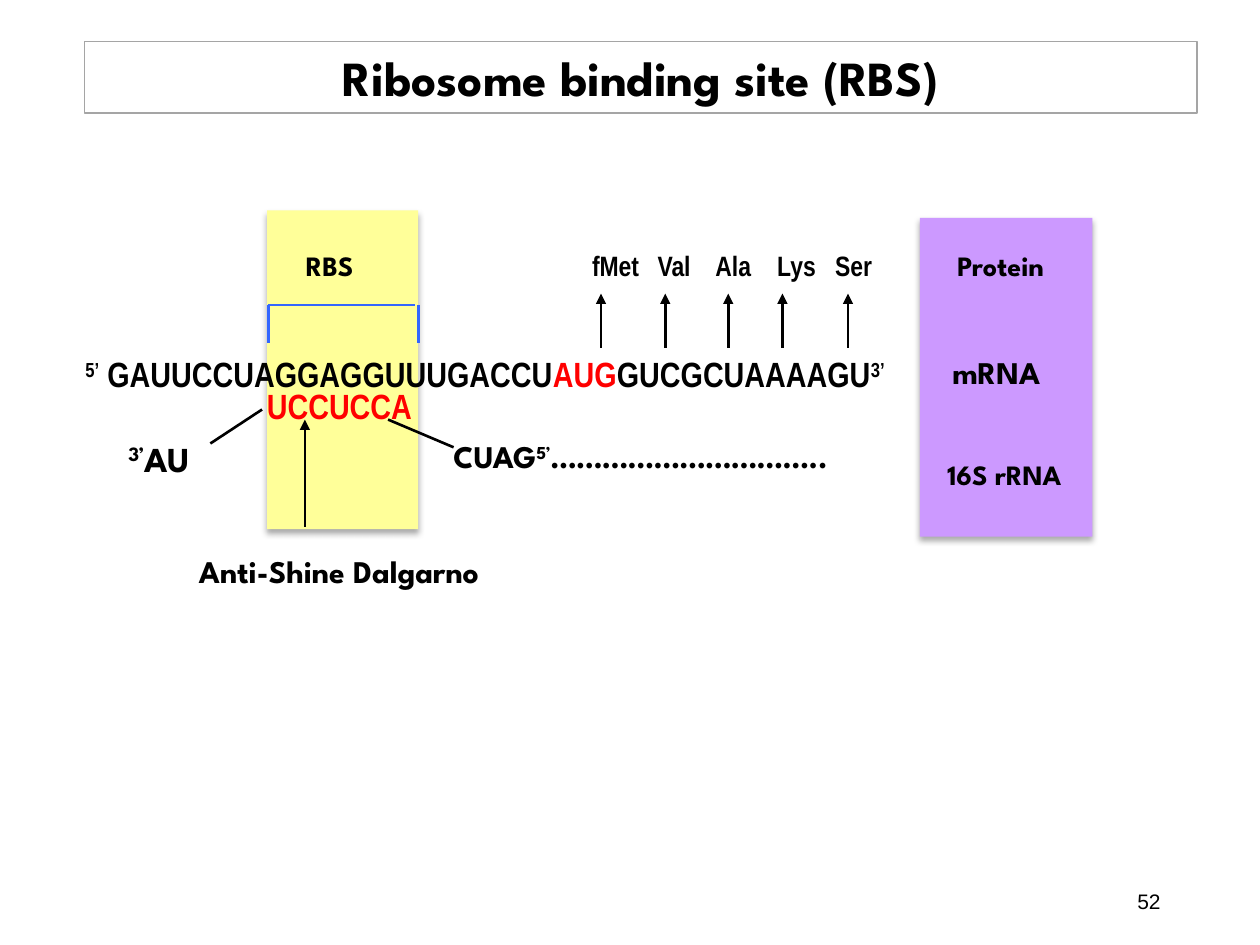
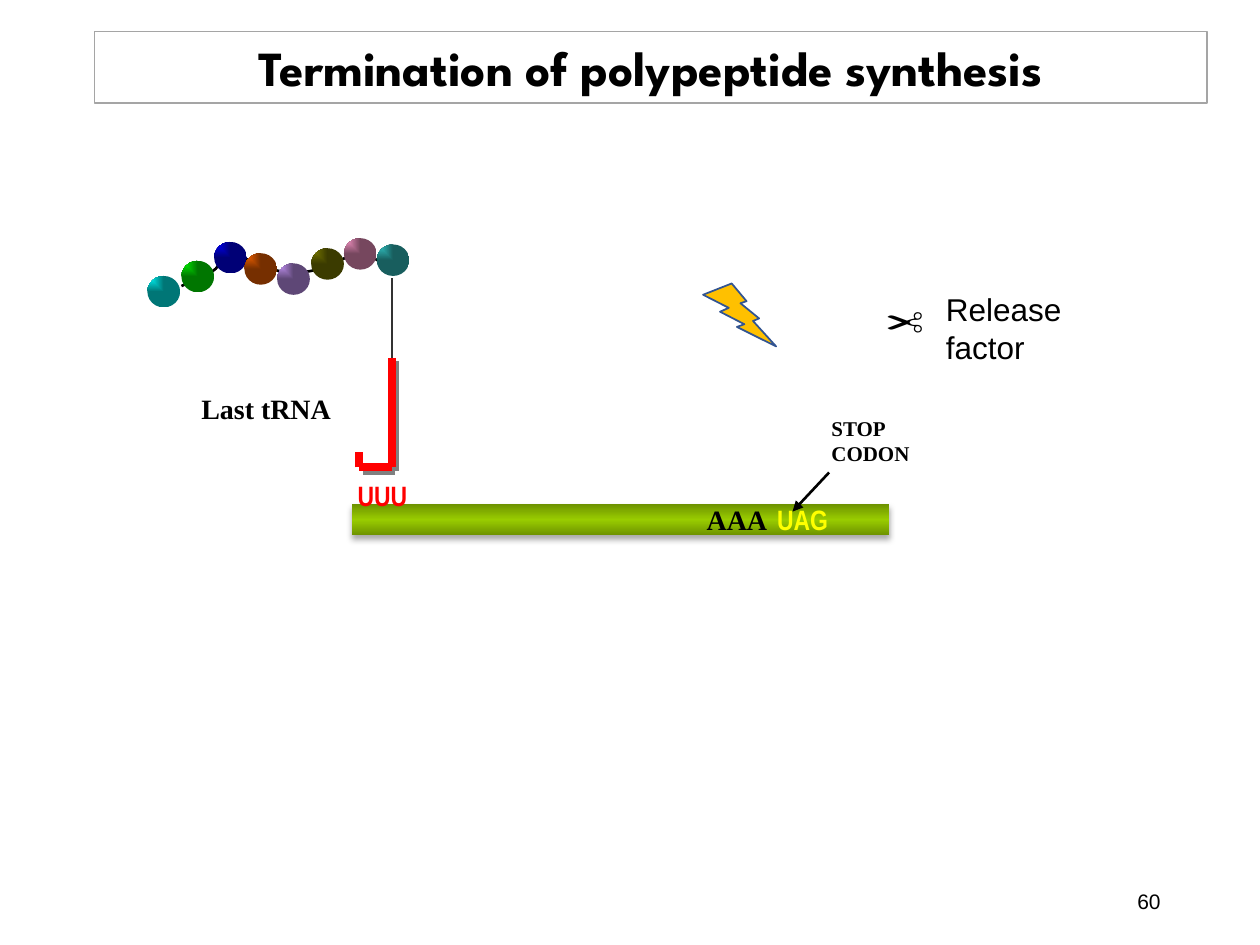
from dataclasses import dataclass
from typing import Any, Optional

import lxml.etree
import pptx
import pptx.dml.color
import pptx.enum.shapes
import pptx.enum.text
import pptx.oxml
import pptx.oxml.ns
import pptx.util

# Grid: lengths are columns and rows of a tenth of an inch
COLS, ROWS = 100, 75
WIDTH, HEIGHT = pptx.util.Inches(10), pptx.util.Inches(7.5)

SPARTAN, NARROW, TIMES, ARIAL = "League Spartan", "Arial Narrow", "Times New Roman", "Arial"
BLACK, WHITE, RED, GREY = "000000", "FFFFFF", "FF0000", "A5A5A5"
BLUE, YELLOW, LILAC, GOLD = "3366FF", "FFFF99", "CC99FF", "FFC000"

SHAPES = pptx.enum.shapes.MSO_SHAPE
ALIGN = pptx.enum.text.PP_ALIGN
ANCHOR = pptx.enum.text.MSO_ANCHOR
SIZING = pptx.enum.text.MSO_AUTO_SIZE


@dataclass
class Box:
    col: float
    row: float
    wide: float
    high: float


@dataclass
class Span:
    text: str
    colour: str = BLACK
    raised: bool = False


@dataclass
class Label:
    box: Box
    spans: list[Span]
    size: float = 16
    font: str = SPARTAN
    bold: bool = True


@dataclass
class Shadow:
    colour: str
    alpha: int
    blur: float
    dist: float
    angle: int


@dataclass
class Line:
    start: tuple[float, float]
    end: tuple[float, float]
    colour: str = BLACK
    weight: float = 1.5
    arrow: bool = False
    shadow: Optional[Shadow] = None


SOFT = Shadow(BLACK, 32, 3.5, 2.2, 90)
HARD = Shadow("808080", 100, 0, 2.8, 45)


# Basic helpers
def across(col: float) -> int:
    return round(WIDTH * col / COLS)


def down(row: float) -> int:
    return round(HEIGHT * row / ROWS)


def place(box: Box) -> tuple[int, int, int, int]:
    return across(box.col), down(box.row), across(box.wide), down(box.high)


def rgb(code: str) -> pptx.dml.color.RGBColor:
    return pptx.dml.color.RGBColor.from_string(code)


def child(parent: Any, tag: str, **attrs: Any) -> Any:
    values = {key: str(value) for key, value in attrs.items()}
    return lxml.etree.SubElement(parent, pptx.oxml.ns.qn(tag), values)


def shade(shape: Any, shadow: Optional[Shadow]) -> None:
    """Close the shape's properties with its shadow, or with none."""
    effects = child(shape._element.spPr, "a:effectLst")
    if shadow:
        outer = child(effects, "a:outerShdw", blurRad=pptx.util.Pt(shadow.blur),
                      dist=pptx.util.Pt(shadow.dist), dir=shadow.angle * 60000,
                      algn="ctr", rotWithShape=0)
        tint = child(outer, "a:srgbClr", val=shadow.colour)
        child(tint, "a:alpha", val=shadow.alpha * 1000)


def grade(shape: Any, stops: list[str], corner: bool) -> None:
    """Spread the colours evenly, from the top left corner or downwards."""
    fill = child(shape._element.spPr, "a:gradFill", rotWithShape=1)
    marks = child(fill, "a:gsLst")
    for i, code in enumerate(stops):
        mark = child(marks, "a:gs", pos=100000 * i // (len(stops) - 1))
        child(mark, "a:srgbClr", val=code)
    if corner:
        way = child(fill, "a:path", path="rect")
        child(way, "a:fillToRect", r=100000, b=100000)
    else:
        child(fill, "a:lin", ang=5400000, scaled=1)


# Drawing
def write(frame: Any, label: Label) -> None:
    para = frame.paragraphs[0]
    para.text = label.spans[0].text
    for span in label.spans[1:]:
        para.add_run().text = span.text
    for run, span in zip(para.runs, label.spans):
        font = run.font
        font.name, font.bold = label.font, label.bold
        font.size = pptx.util.Pt(label.size)
        font.color.rgb = rgb(span.colour)
        if span.raised:
            font._element.set("baseline", "30000")


def add_label(slide: Any, label: Label) -> Any:
    shape = slide.shapes.add_textbox(*place(label.box))
    shape.text_frame.word_wrap = True
    write(shape.text_frame, label)
    return shape


def add_shape(slide: Any, kind: Any, box: Box, fill: str | list[str],
              edge: str = "", shadow: Optional[Shadow] = None) -> Any:
    shape = slide.shapes.add_shape(kind, *place(box))
    if isinstance(fill, str):
        shape.fill.solid()
        shape.fill.fore_color.rgb = rgb(fill)
    else:
        grade(shape, fill, corner=kind == SHAPES.OVAL)
    if edge:
        shape.line.color.rgb = rgb(edge)
        shape.line.width = pptx.util.Pt(1)
    else:
        shape.line.fill.background()
    shade(shape, shadow)
    return shape


def add_line(slide: Any, line: Line) -> None:
    shape = slide.shapes.add_connector(
        pptx.enum.shapes.MSO_CONNECTOR.STRAIGHT,
        across(line.start[0]), down(line.start[1]), across(line.end[0]), down(line.end[1]))
    shape.line.color.rgb = rgb(line.colour)
    shape.line.width = pptx.util.Pt(line.weight)
    if line.arrow:
        child(shape.line._ln, "a:tailEnd", type="triangle")
    shade(shape, line.shadow)


def add_curve(slide: Any, start: tuple, bends: list[tuple], steps: int = 8) -> None:
    """Trace cubic bends, each given as two handles and an end."""
    points, first = [], start
    for one, two, last in bends:
        for i in range(1, steps + 1):
            t = i / steps
            u = 1 - t
            x, y = (u**3 * a + 3 * u * u * t * b + 3 * u * t * t * c + t**3 * d
                    for a, b, c, d in zip(first, one, two, last))
            points.append((across(x), down(y)))
        first = last
    maker = slide.shapes.build_freeform(across(start[0]), down(start[1]))
    maker.add_line_segments(points, close=False)
    shape = maker.convert_to_shape()
    shape.fill.background()
    shape.line.color.rgb = rgb(BLACK)
    shape.line.width = pptx.util.Pt(1.5)
    shade(shape, None)


def add_page(deck: Any, title: str, col: float, row: float, number: int) -> Any:
    """Start a slide with its framed title and its number."""
    slide = deck.slides.add_slide(deck.slide_layouts[6])
    box = Box(col, row, 88.3, 5.7)
    frame = add_shape(slide, SHAPES.RECTANGLE, box, WHITE, GREY).text_frame
    frame.word_wrap, frame.auto_size = True, SIZING.SHAPE_TO_FIT_TEXT
    frame.vertical_anchor = ANCHOR.TOP
    write(frame, Label(box, [Span(title)], 28))
    frame.paragraphs[0].alignment = ALIGN.CENTER
    foot = Label(Box(70.6, 69.5, 22.5, 4), [Span(str(number))], 12, ARIAL, False)
    frame = add_label(slide, foot).text_frame
    frame.vertical_anchor = ANCHOR.MIDDLE
    frame.paragraphs[0].alignment = ALIGN.RIGHT
    return slide


# Slide: ribosome binding site
def draw_site(deck: Any) -> None:
    slide = add_page(deck, "Ribosome binding site (RBS)", 6.7, 3.3, 52)
    for box, fill in ((Box(73, 17.3, 13.7, 25.3), LILAC), (Box(21.2, 16.7, 12, 25.3), YELLOW)):
        add_shape(slide, SHAPES.RECTANGLE, box, fill, shadow=SOFT)

    # Bracket over the site
    left, right, top, base = 21.3, 33.2, 24.2, 27.2
    for start, end in (((left, base), (left, top)), ((left, top), (32.9, top)),
                       ((right, top), (right, base))):
        add_line(slide, Line(start, end, BLUE))

    # Amino acids: name, column of the name, column of the arrow
    acids = [("fMet", 47, 47.7), ("Val", 52.2, 52.8), ("Ala", 56.8, 57.8),
             ("Lys", 61.7, 62.1), ("Ser", 66.3, 67.3)]
    names = "".join("\t" + name for name, _, _ in acids)
    chain = add_label(slide, Label(Box(45, 19.2, 29.1, 5.6), [Span(names)], 16, NARROW))
    tabs = child(chain.text_frame.paragraphs[0]._p.get_or_add_pPr(), "a:tabLst")
    for _, col, arrow in acids:
        child(tabs, "a:tab", pos=across(col - 46), algn="l")
        add_line(slide, Line((arrow, 27.6), (arrow, 23.3), arrow=True))

    # Strands and captions
    dots = "…" * 10 + ".."
    for label in (
        Label(Box(75, 19.2, 12, 4.2), [Span("Protein")]),
        Label(Box(74.6, 27.5, 12, 4.2), [Span("mRNA")], 18),
        Label(Box(74.2, 35.8, 11.7, 5.1), [Span("16S rRNA")]),
        Label(Box(20.2, 30, 15.4, 6.3), [Span("UCCUCCA", RED)], 20, NARROW),
        Label(Box(35, 34.2, 46.2, 7.2),
              [Span("CUAG"), Span("5’", raised=True), Span(dots)], 18),
        Label(Box(9.2, 34.2, 9, 4.2), [Span("3’", raised=True), Span("AU")], 20),
        Label(Box(23.3, 19.2, 8.6, 4.2), [Span("RBS")]),
        Label(Box(14.8, 43.3, 25.2, 5.1), [Span("Anti-Shine Dalgarno")], 18),
        Label(Box(5.8, 27.5, 81.7, 6.3),
              [Span("5’", raised=True), Span(" GAUUCCUAGGAGGUUUGACCU"), Span("AUG", RED),
               Span("GUCGCUAAAAGU"), Span("3’", raised=True)], 20, NARROW),
    ):
        add_label(slide, label)
    add_line(slide, Line((20.8, 32.5), (16.7, 35.2)))
    add_line(slide, Line((30.8, 33.3), (36, 35.5)))
    add_line(slide, Line((24.2, 41.8), (24.2, 33.3), arrow=True))


# Slide: termination
def draw_end(deck: Any) -> None:
    slide = add_page(deck, "Termination of polypeptide synthesis", 7.5, 2.5, 60)
    add_curve(slide, (14.4, 22.7), [
        ((15.3, 22.3), (16.3, 21.9), (16.9, 21.5)), ((17.6, 21.1), (17.4, 20.2), (18.2, 20.2)),
        ((19.1, 20.2), (21.1, 21.3), (22.1, 21.5)), ((23.2, 21.7), (23.6, 21.7), (24.7, 21.5)),
        ((25.8, 21.3), (27.5, 20.2), (28.6, 20.2)), ((29.7, 20.2), (30.8, 21.3), (31.2, 21.5))])

    # Messenger strand
    add_shape(slide, SHAPES.RECTANGLE, Box(27.9, 40, 42.7, 2.5),
              ["6D9200", "99CC00", "6D9200"], shadow=SOFT)

    # Last tRNA
    stem, hook, foot = 31.1, 28.5, 37.1
    add_line(slide, Line((stem, 28.4), (stem, foot), RED, 4.5, shadow=HARD))
    add_line(slide, Line((hook, foot), (stem, foot), RED, 4.5, shadow=HARD))
    add_line(slide, Line((hook, foot), (hook, 35.9), RED, 4.5))
    add_line(slide, Line((stem, 22.1), (stem, 28.4), "333333"))

    # Beads of the chain: column, row, light and dark colour
    for col, row, light, dark in (
        (11.7, 21.9, "00FFFF", "007676"), (14.4, 20.7, "00FF00", "007600"),
        (17, 19.2, "0000FF", "000076"), (19.4, 20.1, "FF6600", "762F00"),
        (22, 20.9, "CC99FF", "5E4776"), (24.7, 19.7, "808000", "3B3B00"),
        (27.3, 18.9, "FF99CC", "76475E"), (29.9, 19.4, "33CCCC", "185E5E"),
    ):
        add_shape(slide, SHAPES.OVAL, Box(col, row, 2.6, 2.5), [light, dark])

    # Captions
    for label in (
        Label(Box(55.1, 39.4, 8.5, 4.2), [Span("AAA")], font=TIMES),
        Label(Box(60.7, 39.4, 6.5, 2.5), [Span("UAG", "FFFF00")], font=NARROW),
        Label(Box(27.4, 37.5, 6.5, 2.9), [Span("UUU", RED)], font=NARROW),
        Label(Box(15, 30.6, 13.7, 4.9), [Span("Last tRNA")], font=TIMES),
        Label(Box(65, 32.5, 9.1, 5), [Span("STOP CODON")], 12, TIMES),
        Label(Box(74.1, 22.5, 16.7, 7.1), [Span("Release factor")], 18, ARIAL, False),
    ):
        add_label(slide, label)
    add_line(slide, Line((65.8, 37.5), (62.9, 40.6), arrow=True))

    # Release factor and its flash
    blades = add_label(slide, Label(Box(68.8, 23.4, 5.5, 4.7), [Span("✂")], 22, NARROW, False))
    blades.rotation = 180
    blades.text_frame.word_wrap = False
    blades.text_frame.vertical_anchor = ANCHOR.MIDDLE
    add_shape(slide, SHAPES.LIGHTNING_BOLT, Box(55.8, 22.5, 5.8, 5), GOLD, "325491")


def main() -> None:
    deck = pptx.Presentation()
    deck.slide_width, deck.slide_height = WIDTH, HEIGHT
    draw_site(deck)
    draw_end(deck)
    deck.save("out.pptx")


if __name__ == "__main__":
    main()
